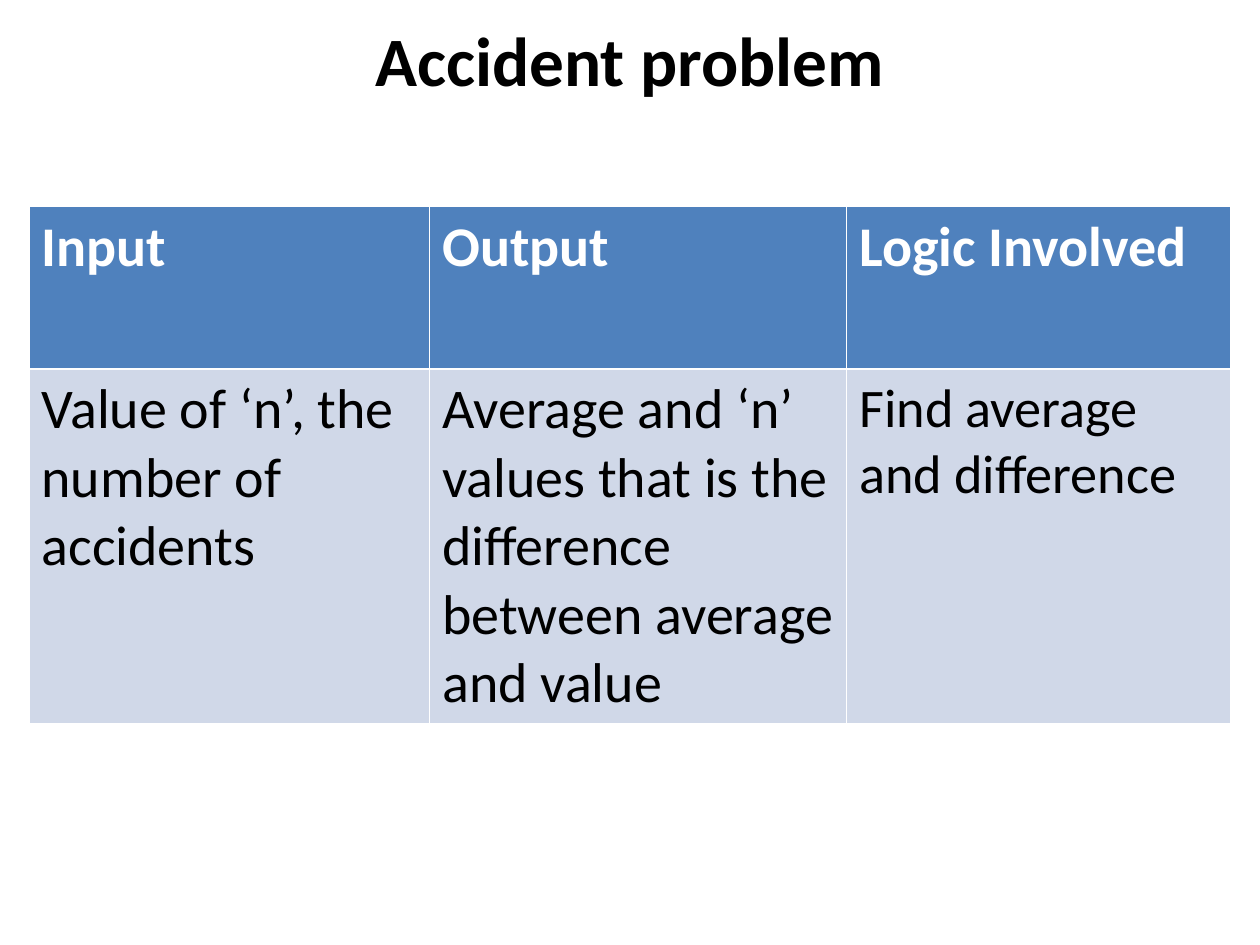
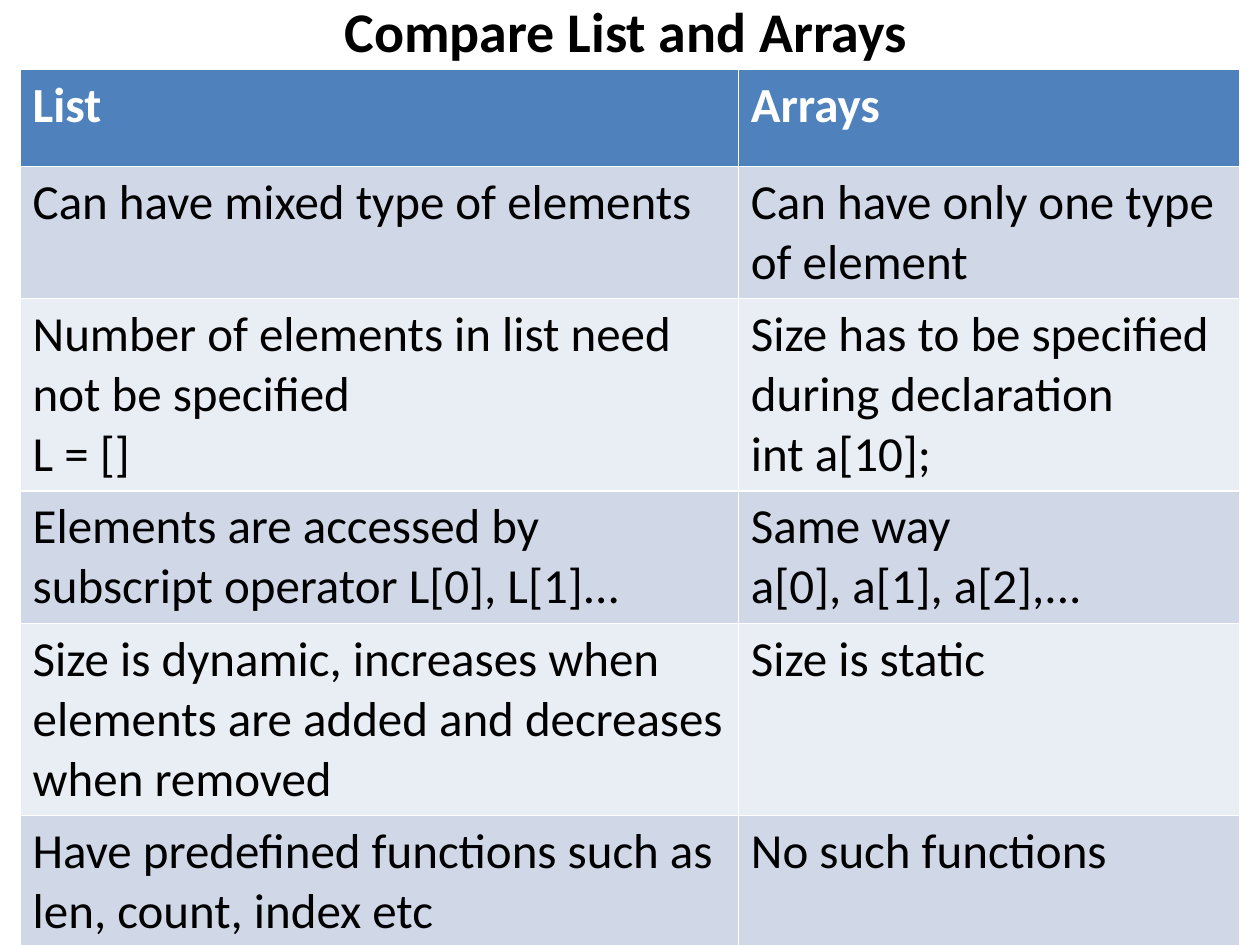
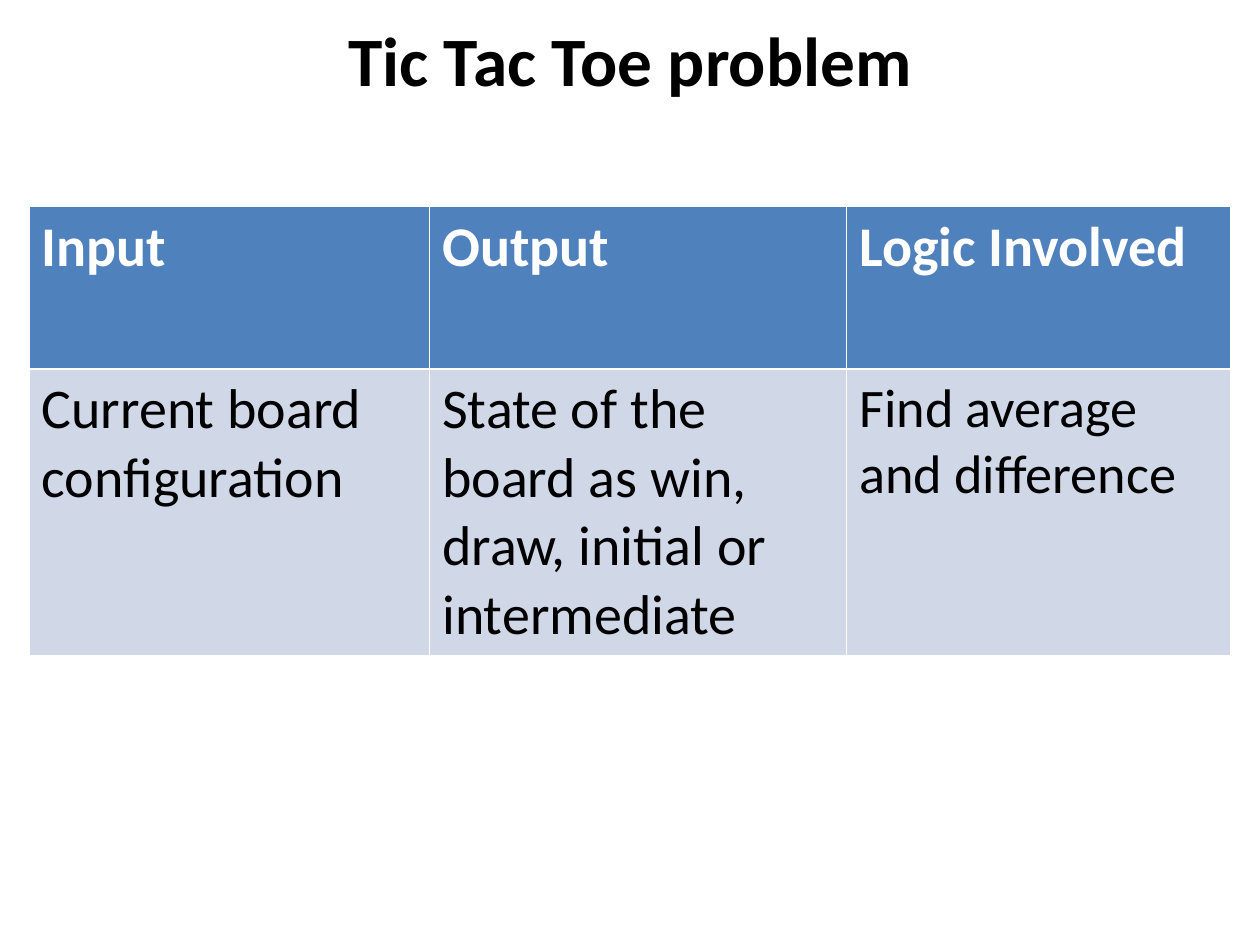
"""Build three slides that each hold a title and a comparison table."""
from dataclasses import dataclass

from pptx import Presentation
from pptx.dml.color import RGBColor
from pptx.enum.text import MSO_ANCHOR, MSO_AUTO_SIZE, PP_ALIGN
from pptx.util import Inches, Pt

CENTER = PP_ALIGN.CENTER
MIDDLE = MSO_ANCHOR.MIDDLE
NO_AUTOFIT = MSO_AUTO_SIZE.NONE
TITLE_ONLY = 5


@dataclass(frozen=True)
class Theme:
    """Colours, font and type sizes shared by the slides."""
    font: str = "Calibri"
    ink: RGBColor = RGBColor(0x00, 0x00, 0x00)
    header_ink: RGBColor = RGBColor(0xFF, 0xFF, 0xFF)
    header_fill: RGBColor = RGBColor(0x4F, 0x81, 0xBD)
    bands: tuple = (RGBColor(0xD0, 0xD8, 0xE8), RGBColor(0xE9, 0xED, 0xF4))
    problem_title: float = 39.6
    problem_text: float = 32
    logic_text: float = 31
    comparison_title: float = 32
    comparison_text: float = 28


THEME = Theme()

PROBLEM_HEADER = ("Input", "Output", "Logic Involved")
LOGIC = "Find average and difference"
COMPARISON_ROWS = (
    ("List", "Arrays"),
    ("Can have mixed type of elements", "Can have only one type of element"),
    ("Number of elements in list need not be specified\nL = []",
     "Size has to be specified during declaration\nint a[10];"),
    ("Elements are accessed by subscript operator L[0], L[1]...",
     "Same way\na[0], a[1], a[2],..."),
    ("Size is dynamic, increases when elements are added and decreases when removed",
     "Size is static"),
    ("Have predefined functions such as len, count, index etc", "No such functions"),
)


def style_text(text_frame, size, color, bold):
    """Format every run of a text frame."""
    for paragraph in text_frame.paragraphs:
        for run in paragraph.runs:
            run.font.name = THEME.font
            run.font.size = Pt(size)
            run.font.bold = bold
            run.font.color.rgb = color


def add_titled_slide(presentation, title, size, left, top, height):
    """Add a slide and place its centred title."""
    slide = presentation.slides.add_slide(presentation.slide_layouts[TITLE_ONLY])
    shape = slide.shapes.title
    shape.left, shape.top = Inches(left), Inches(top)
    shape.width, shape.height = int(presentation.slide_width * 0.9), Inches(height)
    text_frame = shape.text_frame
    text_frame.text = title
    text_frame.word_wrap = True
    text_frame.auto_size = NO_AUTOFIT
    text_frame.vertical_anchor = MIDDLE
    text_frame.paragraphs[0].alignment = CENTER
    style_text(text_frame, size, THEME.ink, True)
    return slide


def add_banded_table(slide, rows, left, top, column_widths, row_heights, size):
    """Add a table with a header row and alternating body bands."""
    frame = slide.shapes.add_table(
        len(rows), len(column_widths), Inches(left), Inches(top),
        Inches(sum(column_widths)), Inches(sum(row_heights)))
    table = frame.table
    for column, width in zip(table.columns, column_widths):
        column.width = Inches(width)
    for row_index, (row, texts) in enumerate(zip(table.rows, rows)):
        row.height = Inches(row_heights[row_index])
        is_header = row_index == 0
        band = THEME.bands[(row_index - 1) % len(THEME.bands)]
        for cell, text in zip(row.cells, texts):
            cell.fill.solid()
            cell.fill.fore_color.rgb = THEME.header_fill if is_header else band
            cell.text_frame.text = text
            style_text(cell.text_frame, size,
                       THEME.header_ink if is_header else THEME.ink, is_header)
    return table


def add_problem_slide(presentation, title, problem_input, problem_output):
    """Add a slide that lists a problem's input, output and logic."""
    slide = add_titled_slide(presentation, title, THEME.problem_title, 0.5, 0.08, 0.78)
    rows = (PROBLEM_HEADER, (problem_input, problem_output, LOGIC))
    table = add_banded_table(slide, rows, 0.23, 1.64, (3.18, 3.31, 3.05),
                             (1.29, 0.75), THEME.problem_text)
    style_text(table.cell(1, 2).text_frame, THEME.logic_text, THEME.ink, False)


def add_comparison_slide(presentation):
    """Add the slide that compares lists with arrays."""
    slide = add_titled_slide(presentation, "Compare List and Arrays",
                             THEME.comparison_title, 0.47, -0.08, 0.64)
    add_banded_table(slide, COMPARISON_ROWS, 0.16, 0.55, (5.7, 3.98),
                     [0.77] * len(COMPARISON_ROWS), THEME.comparison_text)


def main():
    """Build and save the presentation."""
    presentation = Presentation()
    presentation.slide_width, presentation.slide_height = Inches(10), Inches(7.5)
    add_problem_slide(
        presentation, "Accident problem", "Value of ‘n’, the number of accidents",
        "Average and ‘n’ values that is the difference between average and value")
    add_comparison_slide(presentation)
    add_problem_slide(
        presentation, "Tic Tac Toe problem", "Current board configuration",
        "State of the board as win, draw, initial or intermediate")
    presentation.save("out.pptx")


if __name__ == "__main__":
    main()
